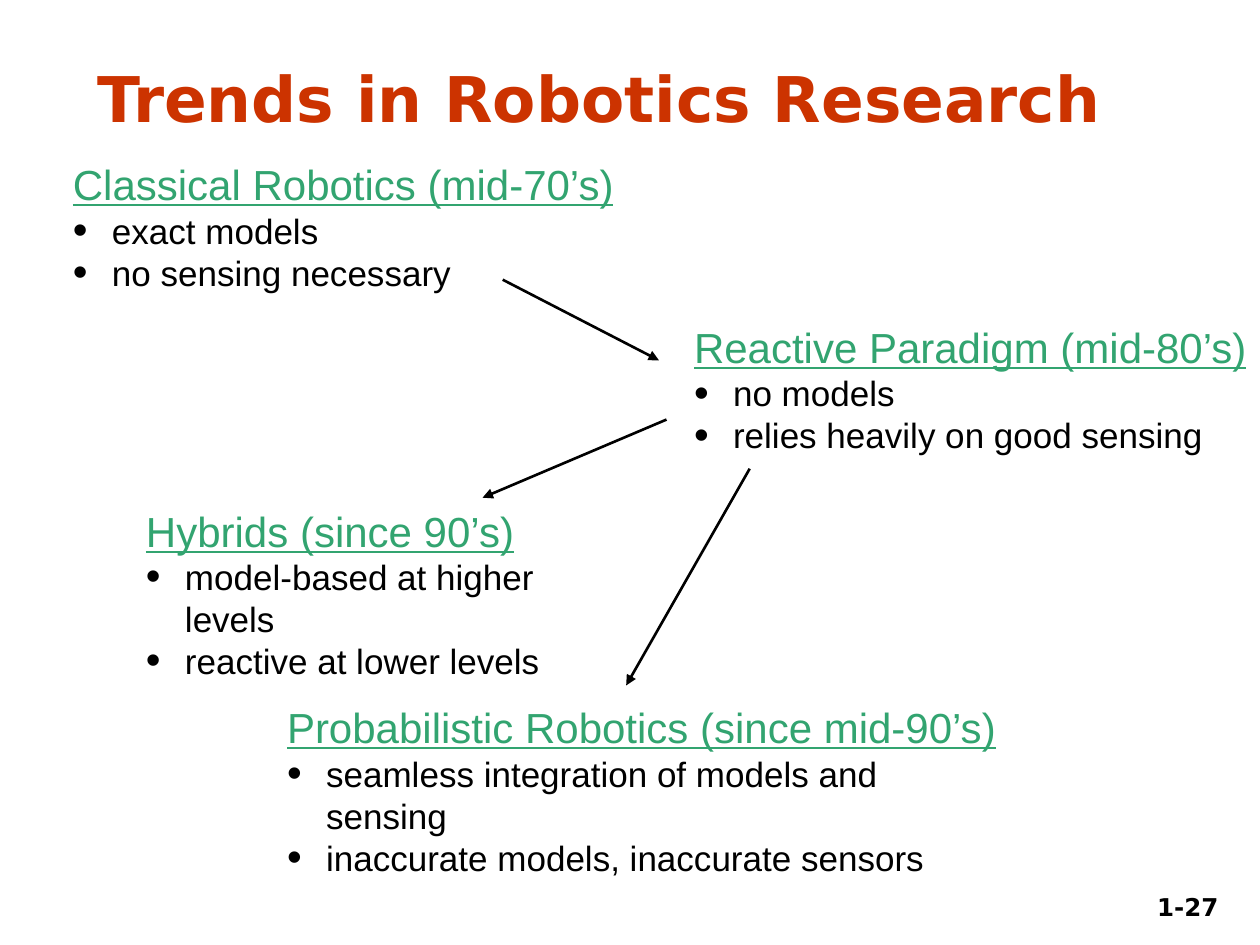
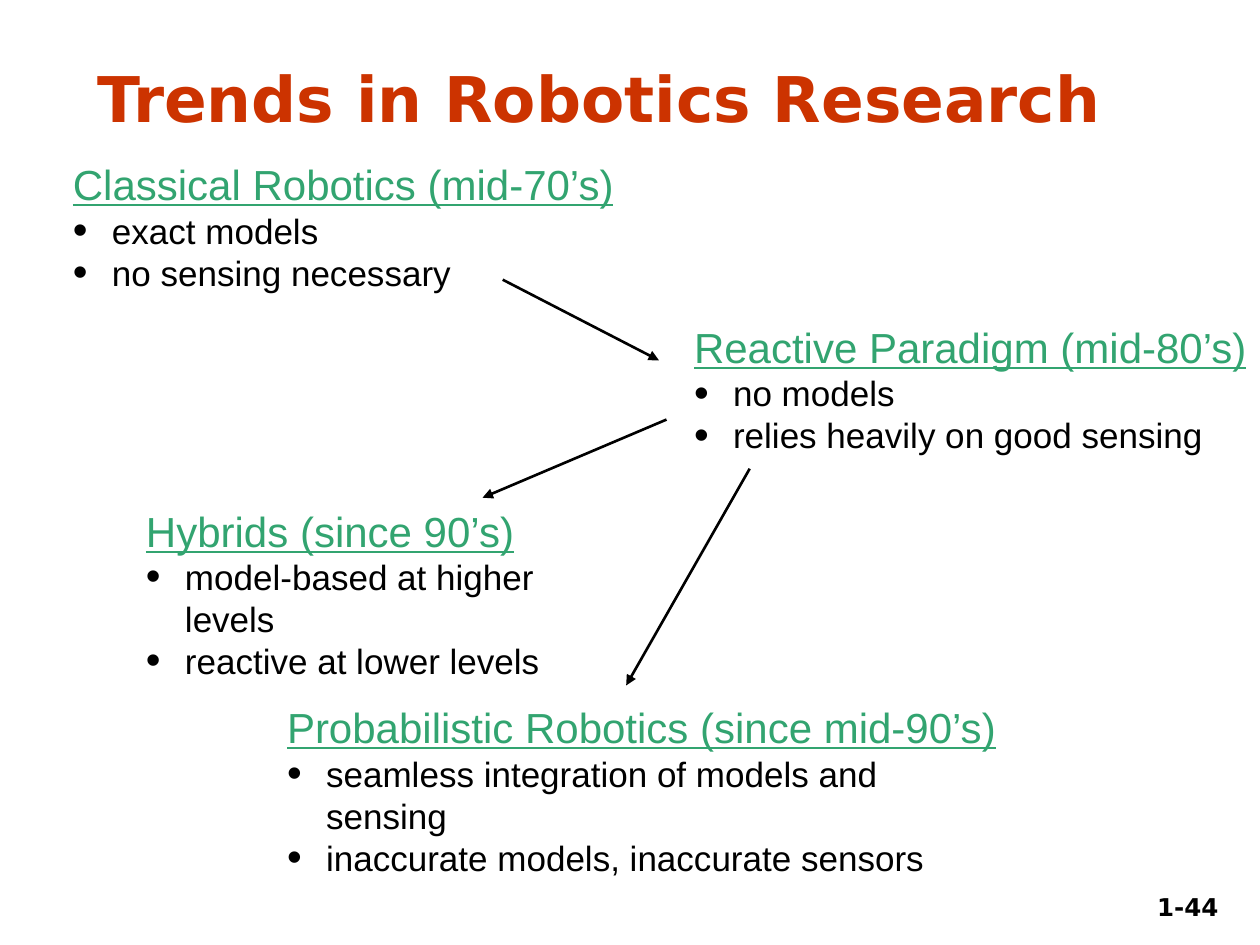
from lxml.etree import SubElement
from pptx import Presentation
from pptx.dml.color import RGBColor
from pptx.enum.shapes import MSO_CONNECTOR
from pptx.enum.text import MSO_ANCHOR, MSO_AUTO_SIZE, PP_ALIGN
from pptx.oxml.ns import qn
from pptx.util import Inches, Pt

# Shared look
HUES = {"title": "CC3300", "head": "32A470", "ink": "000000"}
SANS, WIDE = "Arial", "DejaVu Sans"
CELL = 0.1  # grid of 100 columns by 75 rows on a 10 x 7.5 inch slide
HANG = 3.1  # columns from bullet to text

# Left, top, width, heading, points
ERAS = [
    (4.8, 12.1, 45.5, "Classical Robotics (mid-70’s)",
     ["exact models", "no sensing necessary"]),
    (54.1, 25, 46.2, "Reactive Paradigm (mid-80’s)",
     ["no models", "relies heavily on good sensing"]),
    (10.6, 39.6, 39.5, "Hybrids (since 90’s)",
     ["model-based at higher levels", "reactive at lower levels"]),
    (21.8, 55.2, 58.6, "Probabilistic Robotics (since mid-90’s)",
     ["seamless integration of models and sensing",
      "inaccurate models, inaccurate sensors"]),
]

# Start column and row, end column and row
LINKS = [
    (39.9, 22.2, 52.3, 28.6),
    (52.9, 33.3, 38.3, 39.5),
    (59.5, 37.2, 49.7, 54.4),
]


def grid(*cells):
    return [Inches(cell * CELL) for cell in cells]


def write(para, text, size, hue="ink", face=SANS, bold=False, line=False,
          align=PP_ALIGN.LEFT):
    """Put formatted text in a paragraph."""
    para.alignment = align
    run = para.add_run()
    run.text = text
    font = run.font
    font.name, font.size = face, Pt(size)
    font.bold, font.underline = bold, line
    font.color.rgb = RGBColor.from_string(HUES[hue])


def bullet(para):
    """Give a paragraph a hanging black dot, larger than its text."""
    props = para._p.get_or_add_pPr()
    hang = grid(HANG)[0]
    props.set("marL", str(hang))
    props.set("indent", str(-hang))
    hue = SubElement(props, qn("a:buClr"))
    SubElement(hue, qn("a:srgbClr"), val=HUES["ink"])
    SubElement(props, qn("a:buSzPct"), val="120000")
    SubElement(props, qn("a:buFont"), typeface=SANS)
    SubElement(props, qn("a:buChar"), char="•")


def box(slide, left, top, width, height):
    """Add an empty wrapping text box and return its frame."""
    frame = slide.shapes.add_textbox(*grid(left, top, width, height)).text_frame
    frame.word_wrap = True
    return frame


def title(slide, text):
    shape = slide.shapes.title
    shape.left, shape.top, shape.width, shape.height = grid(6.7, 4.2, 92.1, 7)
    frame = shape.text_frame
    frame.auto_size = MSO_AUTO_SIZE.NONE
    frame.vertical_anchor = MSO_ANCHOR.BOTTOM
    write(frame.paragraphs[0], text, 36, "title", WIDE, bold=True)


def number(slide, text):
    frame = box(slide, 86.7, 68.6, 11, 5)
    frame.vertical_anchor = MSO_ANCHOR.BOTTOM
    write(frame.paragraphs[0], text, 14, face=WIDE, bold=True,
          align=PP_ALIGN.RIGHT)


def era(slide, left, top, width, head, points):
    """Add an underlined heading with its bullet points."""
    frame = box(slide, left, top, width, 11.7)
    write(frame.paragraphs[0], head, 24, "head", line=True)
    for point in points:
        para = frame.add_paragraph()
        bullet(para)
        write(para, point, 20)


def arrow(slide, *ends):
    link = slide.shapes.add_connector(MSO_CONNECTOR.STRAIGHT, *grid(*ends))
    link.line.width = Pt(1.5)
    link.line.color.rgb = RGBColor.from_string(HUES["ink"])
    SubElement(link.line._get_or_add_ln(), qn("a:tailEnd"), type="triangle")
    SubElement(link._element.spPr, qn("a:effectLst"))


def trends(deck, page):
    """Build the slide of research trends."""
    slide = deck.slides.add_slide(deck.slide_layouts[5])
    title(slide, "Trends in Robotics Research")
    for item in ERAS:
        era(slide, *item)
    for ends in LINKS:
        arrow(slide, *ends)
    number(slide, page)


def main():
    deck = Presentation()
    deck.slide_width, deck.slide_height = grid(100, 75)
    for page in ("1-27", "1-44"):
        trends(deck, page)
    deck.save("out.pptx")


if __name__ == "__main__":
    main()
